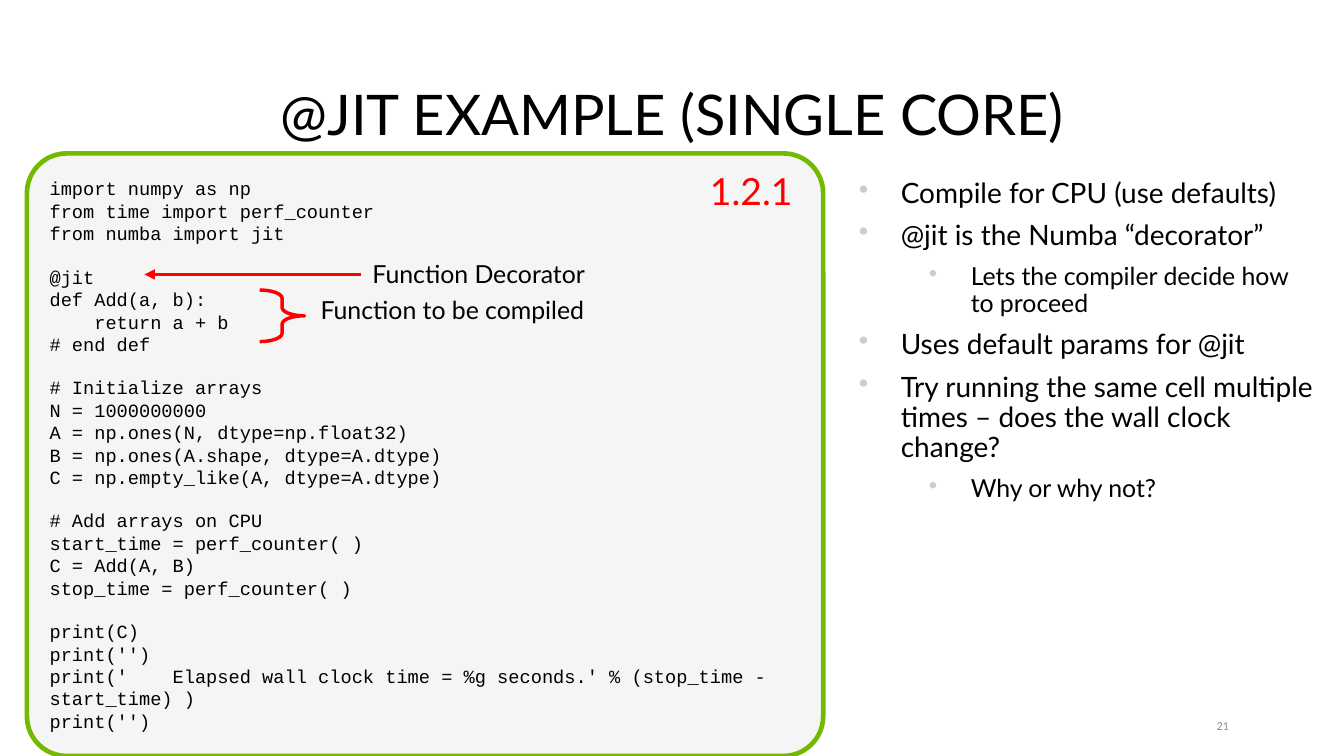
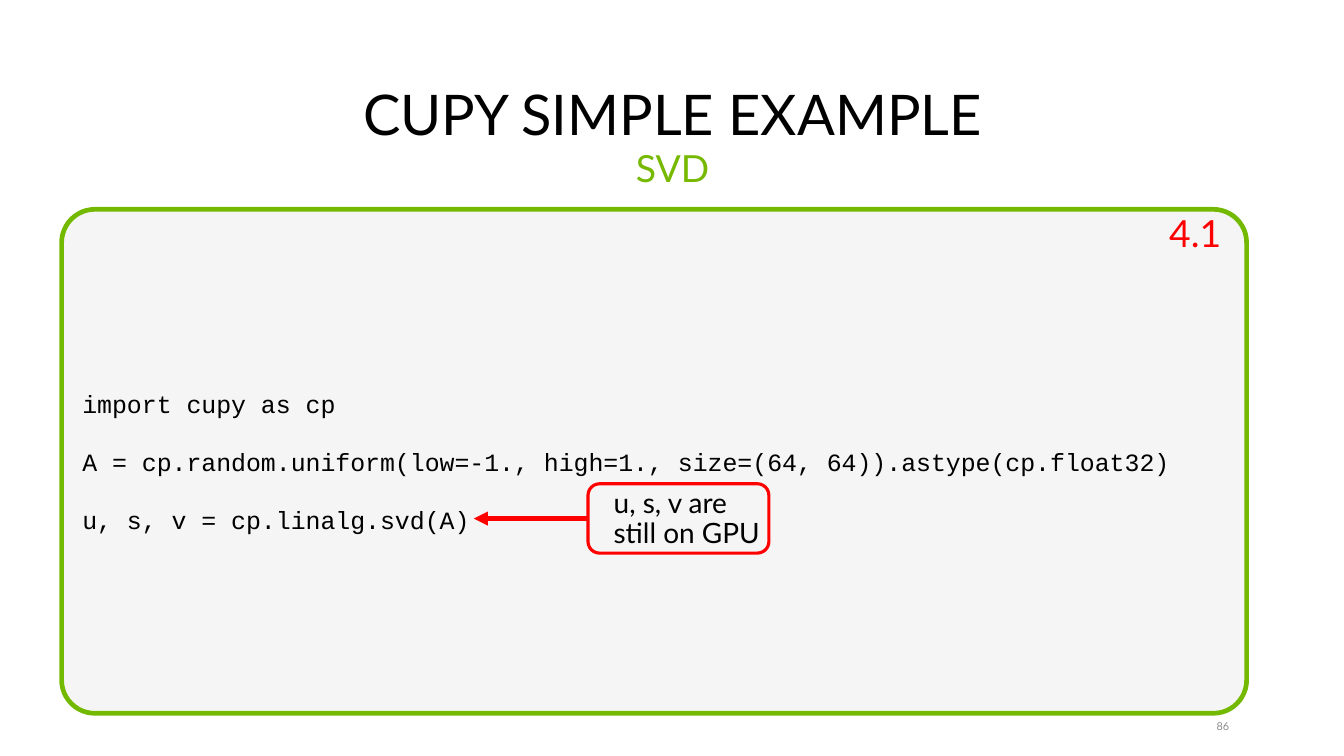
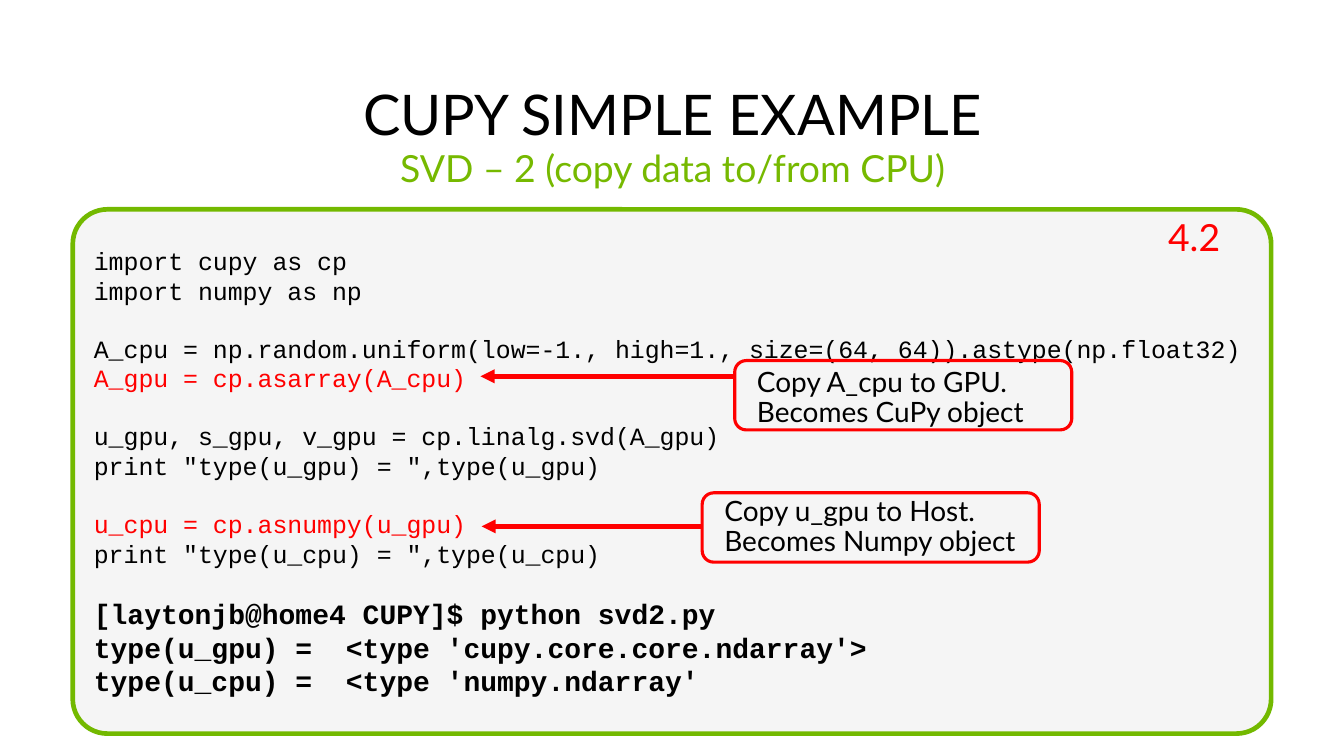
from lxml.etree import SubElement
from pptx import Presentation
from pptx.dml.color import RGBColor
from pptx.enum.shapes import MSO_CONNECTOR, MSO_SHAPE
from pptx.enum.text import MSO_ANCHOR, MSO_AUTO_SIZE, PP_ALIGN
from pptx.oxml.ns import qn
from pptx.util import Pt

BLACK = RGBColor(0, 0, 0)
RED = RGBColor(255, 0, 0)
GREEN = RGBColor(0x76, 0xB9, 0x00)
EDGE = RGBColor(0x73, 0xB9, 0x00)
PALE = RGBColor(0xF5, 0xF5, 0xF5)
GREY = RGBColor(0x8C, 0x8C, 0x8C)
DOT = RGBColor(0xCD, 0xCD, 0xCD)
SANS, MONO = "Lato", "Courier New"

TITLE = (39.6, 51.8, 785.6, 46.8)
SUBTITLE = (39.6, 92.9, 785.6, 41)
NUMBER = (767.5, 461.5, 22.7, 10.8)
POINTS = (545, 111.6, 306.8, 352)
CALL_H, CALL_TEXT_H = 44.6, 46.8

HOT = {"color": RED}
SHELL = {"size": 18, "bold": True}

# Code is a list of blocks, with one empty line between blocks.
SLIDES = [
    {
        "title": "@JIT EXAMPLE (SINGLE CORE)",
        "number": "21",
        "panel": (17.3, 98.6, 511.9, 387.4),
        "size": 12,
        "code": [
            ["import numpy as np",
             "from time import perf_counter",
             "from numba import jit"],
            ["@jit",
             "def Add(a, b):",
             "    return a + b",
             "# end def"],
            ["# Initialize arrays",
             "N = 1000000000",
             "A = np.ones(N, dtype=np.float32)",
             "B = np.ones(A.shape, dtype=A.dtype)",
             "C = np.empty_like(A, dtype=A.dtype)"],
            ["# Add arrays on CPU",
             "start_time = perf_counter( )",
             "C = Add(A, B)",
             "stop_time = perf_counter( )"],
            ["print(C)",
             "print('')",
             "print('    Elapsed wall clock time = %g seconds.'"
             " % (stop_time - start_time) )",
             "print('')"],
        ],
        "badge": ("1.2.1", (449.3, 108, 70.6, 33)),
        "arrow": (231.8, 92.9, 176.4),
        "brace": (167, 186.5, 28.8, 33.1),
        "labels": [
            ("Function Decorator", (231.1, 164.9, 153.4, 24.5)),
            ("Function to be compiled", (195.1, 187.9, 191.5, 24.5)),
        ],
        "points": [
            (0, "Compile for CPU (use defaults)"),
            (0, "@jit is the Numba “decorator”"),
            (1, "Lets the compiler decide how to proceed"),
            (0, "Uses default params for @jit"),
            (0, "Try running the same cell multiple times – "
                "does the wall clock change?"),
            (1, "Why or why not?"),
        ],
    },
    {
        "title": "CUPY SIMPLE EXAMPLE",
        "subtitle": "SVD",
        "number": "86",
        "panel": (39.6, 134.6, 761.8, 324),
        "size": 16,
        "code": [
            ["import cupy as cp"],
            ["A = cp.random.uniform(low=-1., high=1., size=(64, 64))"
             ".astype(cp.float32)"],
            ["u, s, v = cp.linalg.svd(A)"],
        ],
        "badge": ("4.1", (744.5, 134.6, 49, 33)),
        "calls": [
            {"text": "u, s, v are still on GPU", "at": (378, 311),
             "width": 116.3, "shift": (9.4, -0.7), "tip": (304.6, 333.4)},
        ],
    },
    {
        "title": "CUPY SIMPLE EXAMPLE",
        "subtitle": "SVD – 2 (copy data to/from CPU)",
        "panel": (46.8, 134.6, 770.4, 337),
        "size": 16,
        "code": [
            ["import cupy as cp",
             "import numpy as np"],
            ["A_cpu = np.random.uniform(low=-1., high=1., size=(64, 64))"
             ".astype(np.float32)",
             ("A_gpu = cp.asarray(A_cpu)", HOT)],
            ["u_gpu, s_gpu, v_gpu = cp.linalg.svd(A_gpu)",
             'print "type(u_gpu) = ",type(u_gpu)'],
            [("u_cpu = cp.asnumpy(u_gpu)", HOT),
             'print "type(u_cpu) = ",type(u_cpu)'],
            [("[laytonjb@home4 CUPY]$ python svd2.py", SHELL),
             ("type(u_gpu) =  <type 'cupy.core.core.ndarray'>", SHELL),
             ("type(u_cpu) =  <type 'numpy.ndarray'", SHELL)],
        ],
        "badge": ("4.2", (743.8, 137.5, 49, 33)),
        "calls": [
            {"text": "Copy u_gpu to Host. Becomes Numpy object",
             "at": (451.4, 316.8), "width": 216.7,
             "shift": (7.2, -1.4), "tip": (309.6, 338.4)},
            {"text": "Copy A_cpu to GPU. Becomes CuPy object",
             "at": (472.3, 231.8), "width": 216.7,
             "shift": (7.2, 0.7), "tip": (308.9, 241.9)},
        ],
    },
]


def place(box):
    return [Pt(value) for value in box]


def add_bullet(para, level):
    props = para._p.get_or_add_pPr()
    props.set("marL", str(Pt((27, 72)[level])))
    props.set("indent", str(-Pt(27)))
    tint = SubElement(props, qn("a:buClr"))
    SubElement(tint, qn("a:srgbClr"), val=str(DOT))
    SubElement(props, qn("a:buChar"), char="•")


def add_para(para, text, size=18, color=BLACK, font=SANS, bold=False,
             align=PP_ALIGN.LEFT, lead=0.9, before=0, after=0, level=None):
    if level is not None:
        para.level = level
        add_bullet(para, level)
    para.alignment = align
    para.line_spacing = lead
    para.space_before, para.space_after = Pt(before), Pt(after)
    run = para.add_run()
    run.text = text
    run.font.name, run.font.size = font, Pt(size)
    run.font.bold, run.font.color.rgb = bold, color


def write(frame, items, anchor=MSO_ANCHOR.TOP, wrap=True, inset=(7.2, 3.6),
          **style):
    """Fill a frame with strings or (string, own format) pairs."""
    frame.auto_size = MSO_AUTO_SIZE.NONE
    frame.word_wrap = wrap
    frame.vertical_anchor = anchor
    frame.margin_left = frame.margin_right = Pt(inset[0])
    frame.margin_top = frame.margin_bottom = Pt(inset[1])
    for index, item in enumerate(items):
        text, own = (item, {}) if isinstance(item, str) else item
        para = frame.add_paragraph() if index else frame.paragraphs[0]
        add_para(para, text, **{**style, **own})


def add_text(slide, box, items, **style):
    write(slide.shapes.add_textbox(*place(box)).text_frame, items, **style)


def add_form(slide, kind, box, color, width, fill=None):
    form = slide.shapes.add_shape(kind, *place(box))
    form.shadow.inherit = False
    form.line.color.rgb, form.line.width = color, Pt(width)
    if fill is None:
        form.fill.background()
    else:
        form.fill.solid()
        form.fill.fore_color.rgb = fill
    return form


def add_arrow(slide, start, end, y, width):
    ends = place((start, y, end, y))
    arrow = slide.shapes.add_connector(MSO_CONNECTOR.STRAIGHT, *ends)
    arrow.line.color.rgb, arrow.line.width = RED, Pt(width)
    SubElement(arrow.line._get_or_add_ln(), qn("a:tailEnd"), type="triangle")
    SubElement(arrow._element.spPr, qn("a:effectLst"))


def add_title(slide, text):
    title = slide.shapes.title
    title.left, title.top, title.width, title.height = place(TITLE)
    write(title.text_frame, [text], size=36, align=PP_ALIGN.CENTER,
          anchor=MSO_ANCHOR.BOTTOM)


def add_code(slide, box, blocks, size):
    panel = add_form(slide, MSO_SHAPE.ROUNDED_RECTANGLE, box, EDGE, 3, PALE)
    panel.adjustments[0] = 0.066
    lines = []
    for part, block in enumerate(blocks):
        for row, line in enumerate(block):
            text, own = (line, {}) if isinstance(line, str) else line
            gap = size * 1.13 if part and not row else 0
            lines.append((text, {**own, "before": gap}))
    write(panel.text_frame, lines, size=size, font=MONO, lead=1.0,
          anchor=MSO_ANCHOR.MIDDLE)


def add_call(slide, text, at, width, shift, tip):
    """Outlined remark with an arrow from its left edge to the code."""
    left, top = at
    add_arrow(slide, left, *tip, 3)
    box = (left + shift[0], top + shift[1], width, CALL_TEXT_H)
    add_text(slide, box, [text], anchor=MSO_ANCHOR.MIDDLE)
    add_form(slide, MSO_SHAPE.ROUNDED_RECTANGLE,
             (left, top, width, CALL_H), RED, 2)


def add_notes(slide, data):
    """Arrow, brace, labels and bullets beside the decorator code."""
    add_arrow(slide, *data["arrow"], 2.25)
    brace = add_form(slide, MSO_SHAPE.RIGHT_BRACE, data["brace"], RED, 2.25)
    brace.adjustments[0] = 0.183
    for text, box in data["labels"]:
        add_text(slide, box, [text], size=16, align=PP_ALIGN.CENTER,
                 anchor=MSO_ANCHOR.MIDDLE, wrap=False)
    items = [(text, {"level": level, "size": 18 - 2 * level})
             for level, text in data["points"]]
    add_text(slide, POINTS, items, after=8)


def build(deck, data):
    slide = deck.slides.add_slide(deck.slide_layouts[5])
    add_title(slide, data["title"])
    if "number" in data:
        add_text(slide, NUMBER, [data["number"]], size=7, color=GREY,
                 align=PP_ALIGN.RIGHT, lead=1.0, inset=(0, 0),
                 anchor=MSO_ANCHOR.MIDDLE)
    add_code(slide, data["panel"], data["code"], data["size"])
    if "subtitle" in data:
        add_text(slide, SUBTITLE, [data["subtitle"]], size=24, color=GREEN,
                 align=PP_ALIGN.CENTER)
    if "points" in data:
        add_notes(slide, data)
    for call in data.get("calls", []):
        add_call(slide, **call)
    text, box = data["badge"]
    add_text(slide, box, [text], size=24, color=RED, wrap=False,
             anchor=MSO_ANCHOR.MIDDLE)


def main():
    deck = Presentation()
    deck.slide_width, deck.slide_height = Pt(864), Pt(486)
    for data in SLIDES:
        build(deck, data)
    deck.save("out.pptx")


if __name__ == "__main__":
    main()
